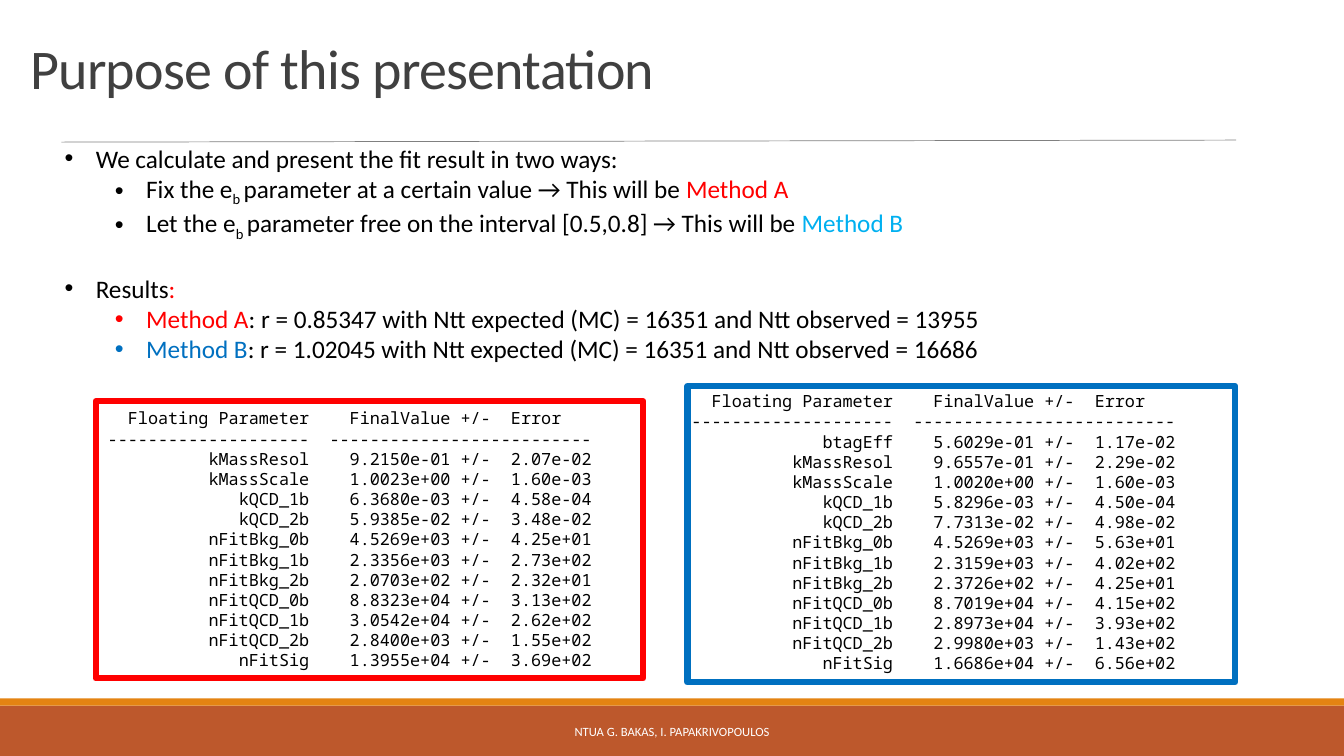
"""Build the slide that compares the fit results of Method A and Method B."""
from lxml.etree import SubElement
from pptx import Presentation
from pptx.dml.color import RGBColor
from pptx.enum.shapes import MSO_CONNECTOR, MSO_SHAPE
from pptx.enum.text import MSO_ANCHOR, MSO_AUTO_SIZE, PP_ALIGN
from pptx.oxml.ns import qn
from pptx.util import Inches, Pt

COLORS = {"black": "000000", "title": "404040", "white": "FFFFFF", "red": "FF0000",
          "cyan": "00B0F0", "blue": "0070C0", "rust": "BD582C", "orange": "E48312",
          "rule": "808080"}

TITLE = "Purpose of this presentation"
FOOTER = "NTUA G. BAKAS, I. PAPAKRIVOPOULOS"

# level, space before in points, runs of (text, colour, subscript)
BULLETS = [
    (0, 0, [("We calculate and present the fit result in two ways:", "black", False)]),
    (1, 0, [("Fix the e", "black", False), ("b ", "black", True),
            ("parameter at a certain value → This will be ", "black", False),
            ("Method A", "red", False)]),
    (1, 0, [("Let the e", "black", False), ("b ", "black", True),
            ("parameter free on the interval [0.5,0.8] → This will be ", "black", False),
            ("Method B", "cyan", False)]),
    (0, 22, [("Results", "black", False), (":", "red", False)]),
    (1, 0, [("Method A", "red", False),
            (": r = 0.85347 with Ntt expected (MC) = 16351 and Ntt observed = 13955",
             "black", False)]),
    (1, 0, [("Method B", "blue", False),
            (": r = 1.02045 with Ntt expected (MC) = 16351 and Ntt observed = 16686",
             "black", False)]),
]

FIT_A = [
    ("kMassResol", "9.2150e-01", "2.07e-02"),
    ("kMassScale", "1.0023e+00", "1.60e-03"),
    ("kQCD_1b", "6.3680e-03", "4.58e-04"),
    ("kQCD_2b", "5.9385e-02", "3.48e-02"),
    ("nFitBkg_0b", "4.5269e+03", "4.25e+01"),
    ("nFitBkg_1b", "2.3356e+03", "2.73e+02"),
    ("nFitBkg_2b", "2.0703e+02", "2.32e+01"),
    ("nFitQCD_0b", "8.8323e+04", "3.13e+02"),
    ("nFitQCD_1b", "3.0542e+04", "2.62e+02"),
    ("nFitQCD_2b", "2.8400e+03", "1.55e+02"),
    ("nFitSig", "1.3955e+04", "3.69e+02"),
]
FIT_B = [
    ("btagEff", "5.6029e-01", "1.17e-02"),
    ("kMassResol", "9.6557e-01", "2.29e-02"),
    ("kMassScale", "1.0020e+00", "1.60e-03"),
    ("kQCD_1b", "5.8296e-03", "4.50e-04"),
    ("kQCD_2b", "7.7313e-02", "4.98e-02"),
    ("nFitBkg_0b", "4.5269e+03", "5.63e+01"),
    ("nFitBkg_1b", "2.3159e+03", "4.02e+02"),
    ("nFitBkg_2b", "2.3726e+02", "4.25e+01"),
    ("nFitQCD_0b", "8.7019e+04", "4.15e+02"),
    ("nFitQCD_1b", "2.8973e+04", "3.93e+02"),
    ("nFitQCD_2b", "2.9980e+03", "1.43e+02"),
    ("nFitSig", "1.6686e+04", "6.56e+02"),
]
HEADER = ("Floating Parameter", "FinalValue", "Error")
NAME_END, DASH_START, VALUE_START, ERROR_START = 2.2, 2.4, 2.6, 4.2

# rows, frame box, text box, frame colour
FITS = [
    (FIT_A, (0.95, 3.98, 5.43, 2.75), (0.77, 4, 5.43, 2.73), "red"),
    (FIT_B, (6.82, 3.83, 5.43, 2.94), (6.56, 3.83, 6.67, 2.93), "blue"),
]
BARS = [((0, 7, 13.33, 0.5), "rust"), ((0, 6.93, 13.33, 0.07), "orange")]


def rgb(name):
    return RGBColor.from_string(COLORS[name])


def inches(box):
    return [Inches(v) for v in box]


def place(sp, box):
    sp.left, sp.top, sp.width, sp.height = inches(box)


def add_run(p, text, size, color, font="Calibri"):
    r = p.add_run()
    r.text = text
    r.font.size, r.font.name = Pt(size), font
    r.font.color.rgb = rgb(color)
    return r


def add_rect(s, box, fill=None, line=None):
    sp = s.shapes.add_shape(MSO_SHAPE.RECTANGLE, *inches(box))
    sp.shadow.inherit = False
    if fill:
        sp.fill.solid()
        sp.fill.fore_color.rgb = rgb(fill)
    else:
        sp.fill.background()
    if line:
        sp.line.color.rgb, sp.line.width = rgb(line), Pt(4.5)
    else:
        sp.line.fill.background()


def add_text_frame(s, box):
    tf = s.shapes.add_textbox(*inches(box)).text_frame
    tf.word_wrap = True
    return tf


def next_paragraph(tf, i):
    return tf.add_paragraph() if i else tf.paragraphs[0]


def add_tabs(p, stops):
    tabs = SubElement(p._p.get_or_add_pPr(), qn("a:tabLst"))
    for pos, align in stops:
        SubElement(tabs, qn("a:tab"), pos=str(Inches(pos)), algn=align)


def add_bullets(tf):
    for i, (level, before, runs) in enumerate(BULLETS):
        p = next_paragraph(tf, i)
        p.level = level
        pPr = p._p.get_or_add_pPr()
        pPr.set("marL", str(Inches(0.31 + 0.5 * level)))
        pPr.set("indent", str(Inches(-0.31)))
        SubElement(pPr, qn("a:buFont"), typeface="Arial")
        SubElement(pPr, qn("a:buChar"), char="•")
        p.space_before, p.space_after, p.line_spacing = Pt(before), Pt(0), 1.0
        for text, color, subscript in runs:
            r = add_run(p, text, 18, color)
            if subscript:
                r.font._element.set("baseline", "-25000")


def add_fit(s, rows, box):
    columns = [(NAME_END, "r"), (VALUE_START, "l"), (ERROR_START, "l")]
    lines = [(f"\t{name}\t{value} +/-\t{error}", columns)
             for name, value, error in [HEADER, *rows]]
    lines.insert(1, (f"\t{'-' * 20}\t{'-' * 26}", [(NAME_END, "r"), (DASH_START, "l")]))
    tf = add_text_frame(s, box)
    for i, (text, stops) in enumerate(lines):
        p = next_paragraph(tf, i)
        add_tabs(p, stops)
        add_run(p, text, 12, "black", "Noto Sans Mono")


def main():
    prs = Presentation()
    prs.slide_width, prs.slide_height = Inches(13.33), Inches(7.5)
    s = prs.slides.add_slide(prs.slide_layouts[1])

    title, body = s.shapes.title, s.placeholders[1]
    place(title, (0.2, 0.23, 11.51, 0.82))
    place(body, (0.54, 1.37, 11.67, 2.45))
    for sp, anchor in ((title, MSO_ANCHOR.BOTTOM), (body, MSO_ANCHOR.TOP)):
        sp.text_frame.auto_size = MSO_AUTO_SIZE.NONE
        sp.text_frame.vertical_anchor = anchor
    p = title.text_frame.paragraphs[0]
    p.alignment, p.line_spacing = PP_ALIGN.LEFT, 0.85
    add_run(p, TITLE, 40, "title").font._element.set("spc", "-50")
    add_bullets(body.text_frame)

    for box, color in BARS:
        add_rect(s, box, fill=color)
    rule = s.shapes.add_connector(MSO_CONNECTOR.STRAIGHT, *inches((0.61, 1.41, 12.26, 1.39)))
    rule.line.color.rgb, rule.line.width = rgb("rule"), Pt(0.5)
    SubElement(rule._element.spPr, qn("a:effectLst"))

    tf = add_text_frame(s, (4.03, 7.06, 5.27, 0.4))
    tf.vertical_anchor = MSO_ANCHOR.MIDDLE
    tf.paragraphs[0].alignment = PP_ALIGN.CENTER
    add_run(tf.paragraphs[0], FOOTER, 9, "white")

    for rows, frame, text_box, color in FITS:
        add_rect(s, frame, line=color)
        add_fit(s, rows, text_box)

    prs.save("out.pptx")


if __name__ == "__main__":
    main()
